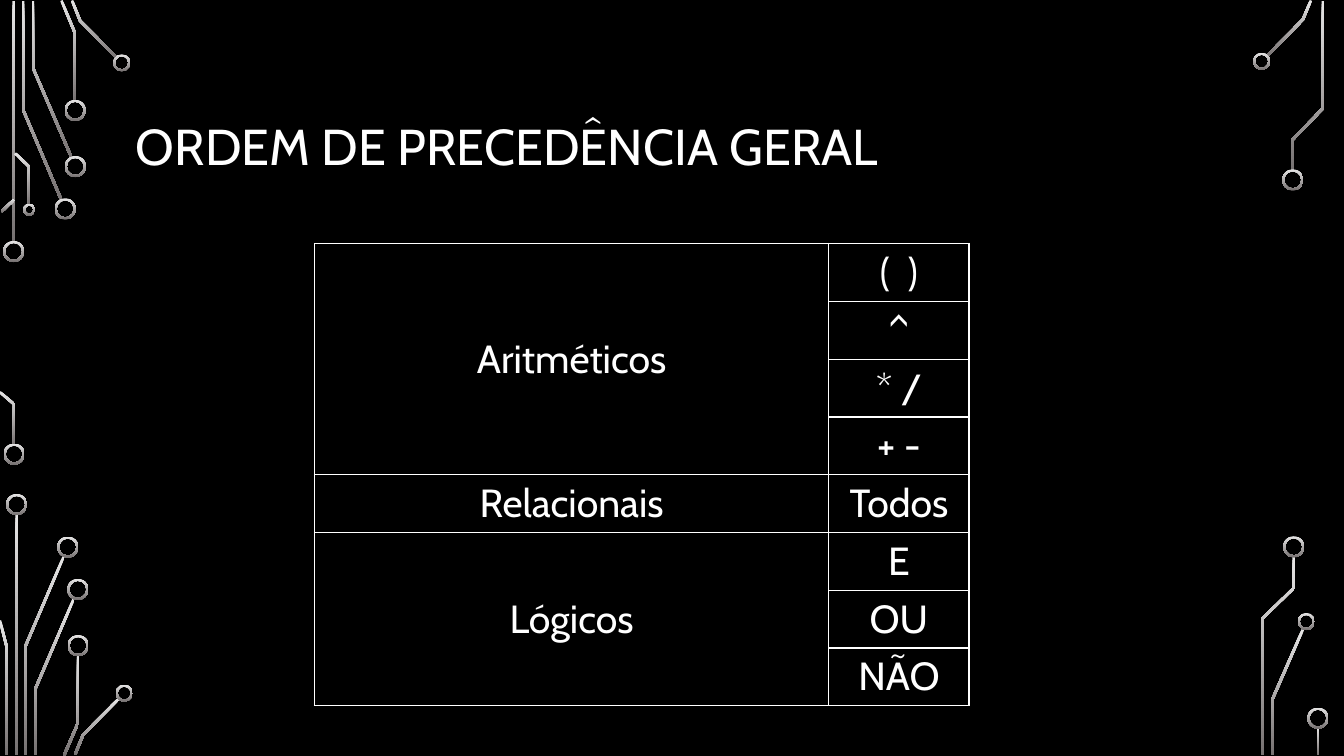
from lxml import etree
from pptx import Presentation
from pptx import util as u
from pptx.dml.color import RGBColor
from pptx.enum import shapes, text
from pptx.oxml import ns

BLACK = RGBColor(0x00, 0x00, 0x00)
WHITE = RGBColor(0xFF, 0xFF, 0xFF)
SILVER = RGBColor(0xE7, 0xE6, 0xE6)
GREY = RGBColor(0x76, 0x71, 0x71)
FONT = "Cabin"

GRID = u.Pt(0.72)
WIRE = 2.5
RING_WALL = 2
LARGE, MEDIUM, SMALL, NO_RING = 21, 17, 12, 0

CIRCUITS = {
    "top left": [
        (LARGE, [(13.5, 1), (13.5, 240)]),
        (LARGE, [(23, 1), (23, 109), (61, 198.5)]),
        (LARGE, [(32.5, 1), (32.5, 67), (71, 156.5)]),
        (LARGE, [(61, 0.5), (74.5, 33), (74.5, 100)]),
        (MEDIUM, [(71.5, 0.5), (79.5, 20.5), (115.5, 57)]),
        (SMALL, [(15, 152), (29, 165.5), (29, 203)]),
        (NO_RING, [(14, 198), (1.5, 210)]),
    ],
    "bottom left": [
        (LARGE, [(0, 389), (14, 401), (14, 441)]),
        (LARGE, [(16.5, 749), (16.5, 510)]),
        (LARGE, [(25.5, 749), (25.5, 640.5), (63.5, 551.5)]),
        (LARGE, [(35.5, 749), (35.5, 682.5), (73.5, 593.5)]),
        (LARGE, [(63.5, 749.5), (77.5, 717), (77.5, 650)]),
        (MEDIUM, [(74.5, 748.5), (82.5, 729), (118, 693)]),
        (NO_RING, [(6.5, 749), (6.5, 641), (0, 615.5)]),
    ],
    "top right": [
        (MEDIUM, [(1300.5, 0.5), (1292.5, 19.5), (1257, 55.5)]),
        (LARGE, [(1312.5, 1), (1312.5, 107.5), (1282.5, 138.5), (1282.5, 169)]),
    ],
    "bottom right": [
        (LARGE, [(1252.5, 749), (1252.5, 613.5), (1283.5, 583.5), (1283.5, 552)]),
        (MEDIUM, [(1262.5, 749), (1262.5, 693.5), (1293, 623.5)]),
        (LARGE, [(1307.5, 749), (1307.5, 722)]),
    ],
}

GROUPS = {
    "Aritméticos": ["(  )", "^", "* /", "+ -"],
    "Relacionais": ["Todos"],
    "Lógicos": ["E", "OU", "NÃO"],
}
ROW_HEIGHT = 41.3
GROUP_WIDTH, OPERATOR_WIDTH = 367.4, 100.2


def paint_metal(shape):
    shape.shadow.inherit = False
    shape.line.fill.background()
    shape.fill.gradient()
    shape.fill.gradient_angle = 270
    for stop, color in zip(shape.fill.gradient_stops, (SILVER, GREY)):
        stop.color.rgb = color


def write(para, words, size):
    span = para.add_run()
    span.text = words
    span.font.name = FONT
    span.font.size = u.Pt(size)
    span.font.color.rgb = WHITE


deck = Presentation()
deck.slide_width = u.Pt(960)
deck.slide_height = u.Pt(540)
page = deck.slides.add_slide(deck.slide_layouts[6])
page.background.fill.solid()
page.background.fill.fore_color.rgb = BLACK

for wires in CIRCUITS.values():
    for diameter, bends in wires:
        points = [complex(x, y) for x, y in bends]
        headings = [(end - start) / abs(end - start)
                    for start, end in zip(points, points[1:])]

        if len(points) == 2 and diameter:
            top = min(y for _, y in bends)
            length = abs(points[1] - points[0])
            wire = page.shapes.add_shape(
                shapes.MSO_SHAPE.RECTANGLE, int((points[0].real - WIRE / 2) * GRID),
                int(top * GRID), int(WIRE * GRID), int(length * GRID))
        else:
            left_side, right_side = [], []
            arriving = headings[:1] + headings
            leaving = headings + headings[-1:]
            for point, before, after in zip(points, arriving, leaving):
                turn = before + after
                miter = 1j * turn * WIRE / abs(turn) ** 2
                left_side.append(point + miter)
                right_side.append(point - miter)
            outline = [(corner.real * GRID, corner.imag * GRID)
                       for corner in left_side + right_side[::-1]]
            builder = page.shapes.build_freeform(*outline[0])
            builder.add_line_segments(outline[1:], close=True)
            wire = builder.convert_to_shape()
        paint_metal(wire)

        if diameter:
            center = points[-1] + headings[-1] * (diameter / 2 - 1)
            ring = page.shapes.add_shape(
                shapes.MSO_SHAPE.DONUT, int((center.real - diameter / 2) * GRID),
                int((center.imag - diameter / 2) * GRID),
                diameter * GRID, diameter * GRID)
            ring.adjustments[0] = RING_WALL / diameter
            paint_metal(ring)

title = page.shapes.add_textbox(u.Pt(90), u.Pt(48.5), u.Pt(780), u.Pt(116.6)).text_frame
title.word_wrap = True
title.vertical_anchor = text.MSO_ANCHOR.MIDDLE
title.paragraphs[0].line_spacing = 0.9
write(title.paragraphs[0], "ORDEM DE PRECEDÊNCIA GERAL", 36)

row_count = sum(len(operators) for operators in GROUPS.values())
table = page.shapes.add_table(
    row_count, 2, u.Pt(224.6), u.Pt(174),
    u.Pt(GROUP_WIDTH + OPERATOR_WIDTH), u.Pt(ROW_HEIGHT * row_count)).table
table.first_row = False
table.horz_banding = False
for column, width in zip(table.columns, (GROUP_WIDTH, OPERATOR_WIDTH)):
    column.width = u.Pt(width)

for cell in table.iter_cells():
    cell.vertical_anchor = text.MSO_ANCHOR.MIDDLE
    properties = cell._tc.get_or_add_tcPr()
    for side in ("a:lnL", "a:lnR", "a:lnT", "a:lnB"):
        border = etree.SubElement(properties, ns.qn(side), w=str(u.Pt(1)))
        paint = etree.SubElement(border, ns.qn("a:solidFill"))
        etree.SubElement(paint, ns.qn("a:srgbClr"), val=str(WHITE))
    cell.fill.background()

first = 0
for group, operators in GROUPS.items():
    last = first + len(operators) - 1
    if last > first:
        table.cell(first, 0).merge(table.cell(last, 0))
    entries = [(first, 0, group)]
    entries += [(row, 1, operator) for row, operator in enumerate(operators, first)]
    for row, column, words in entries:
        para = table.cell(row, column).text_frame.paragraphs[0]
        para.alignment = text.PP_ALIGN.CENTER
        write(para, words, 28)
    first = last + 1

deck.save("out.pptx")
